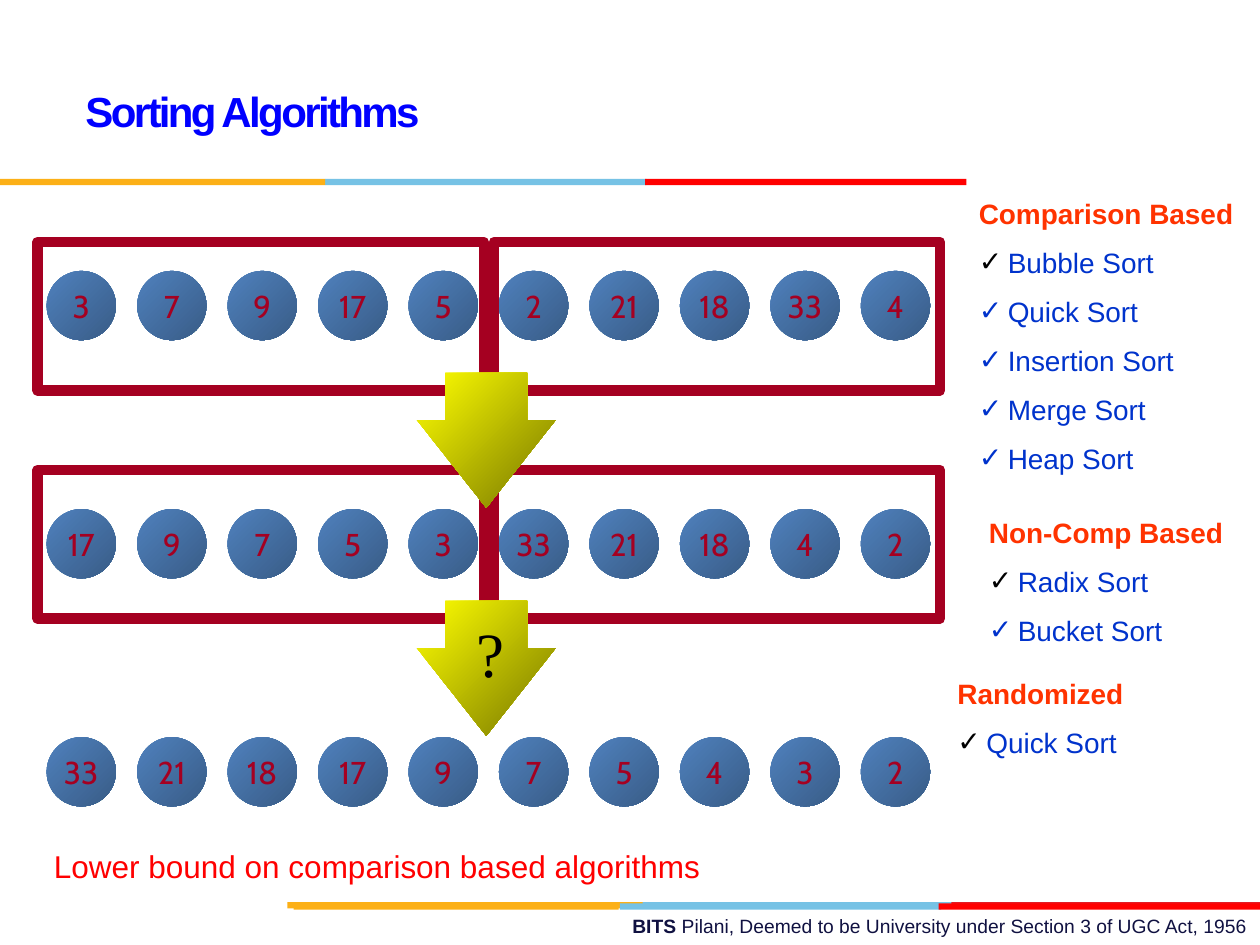
from dataclasses import dataclass

from lxml import etree
from pptx import Presentation
from pptx.dml.color import RGBColor
from pptx.enum.shapes import MSO_SHAPE
from pptx.enum.text import MSO_ANCHOR, PP_ALIGN
from pptx.oxml.ns import qn
from pptx.util import Inches, Pt

RECT, OVAL, ARROW = MSO_SHAPE.RECTANGLE, MSO_SHAPE.OVAL, MSO_SHAPE.DOWN_ARROW
TOP, MIDDLE = MSO_ANCHOR.TOP, MSO_ANCHOR.MIDDLE
LEFT, CENTER, RIGHT = PP_ALIGN.LEFT, PP_ALIGN.CENTER, PP_ALIGN.RIGHT


@dataclass(frozen=True)
class Theme:
    font: str = "Arial"
    number_font: str = "Cabin"
    mark_font: str = "Times New Roman"
    orange: str = "FCB017"
    sky: str = "76C2E5"
    crimson: str = "E31C24"
    red: str = "FF0000"
    black: str = "000000"
    title: str = "0000FF"
    footer: str = "101141"
    heading: str = "FF3300"
    item: str = "0033CC"
    maroon: str = "A50021"
    ball: tuple = ("4F81BD", "395C87")
    arrow: tuple = ("FFFF00", "767600")
    title_size: int = 24
    body_size: int = 18
    list_size: int = 16
    footer_size: int = 11
    mark_size: int = 36
    list_gap: float = 8.8


class Deck:
    """Places elements on a grid of 100 columns by 75 rows."""

    COLS, ROWS = 100, 75

    def __init__(self, theme):
        self.t = theme
        self.prs = Presentation()
        self.prs.slide_width, self.prs.slide_height = Inches(10), Inches(7.5)
        self.s = self.prs.slides.add_slide(self.prs.slide_layouts[6])

    def box(self, x, y, w, h):
        col = self.prs.slide_width / self.COLS
        row = self.prs.slide_height / self.ROWS
        return round(x * col), round(y * row), round(w * col), round(h * row)

    def run(self, p, text, size, color, bold=False, font=None, spacing=None):
        r = p.add_run()
        r.text = text
        r.font.name, r.font.size, r.font.bold = font or self.t.font, Pt(size), bold
        r.font.color.rgb = RGBColor.from_string(color)
        if spacing is not None:
            r._r.get_or_add_rPr().set("spc", str(round(spacing * 100)))

    def shape(self, kind, *cell, fill=None, line=None, width=0):
        sp = self.s.shapes.add_shape(kind, *self.box(*cell))
        sp.shadow.inherit = False
        if isinstance(fill, tuple):
            sp.fill.gradient()
            sp.fill.gradient_angle = 315
            for stop, color in zip(sp.fill.gradient_stops, fill):
                stop.color.rgb = RGBColor.from_string(color)
        elif fill:
            sp.fill.solid()
            sp.fill.fore_color.rgb = RGBColor.from_string(fill)
        else:
            sp.fill.background()
        if line:
            sp.line.color.rgb = RGBColor.from_string(line)
            sp.line.width = Pt(width)
        else:
            sp.line.fill.background()
        return sp

    def text(self, *cell, align=LEFT, anchor=TOP, wrap=True):
        tf = self.s.shapes.add_textbox(*self.box(*cell)).text_frame
        tf.word_wrap, tf.vertical_anchor = wrap, anchor
        tf.paragraphs[0].alignment = align
        return tf

    def stripes(self, y, *bars):
        for x, w, color in bars:
            self.shape(RECT, x, y, w, 0.5, fill=color)

    def ball(self, x, y, value):
        sp = self.shape(OVAL, x, y, 5.5, 5.5, fill=self.t.ball)
        tf = sp.text_frame
        tf.word_wrap, tf.vertical_anchor = False, MIDDLE
        p = tf.paragraphs[0]
        p.alignment = CENTER
        self.run(p, str(value), self.t.body_size, self.t.maroon, font=self.t.number_font)

    def arrow(self, x, y):
        sp = self.shape(ARROW, x, y, 11, 10.7, fill=self.t.arrow)
        sp.adjustments[0], sp.adjustments[1] = 0.59, 0.65

    def bullet(self, p, color):
        pPr = p._p.get_or_add_pPr()
        pPr.set("marL", str(Inches(0.23)))
        pPr.set("indent", str(-Inches(0.23)))
        clr = etree.SubElement(pPr, qn("a:buClr"))
        etree.SubElement(clr, qn("a:srgbClr"), val=color)
        etree.SubElement(pPr, qn("a:buFont"), typeface=self.t.font)
        etree.SubElement(pPr, qn("a:buChar"), char="✓")

    def checklist(self, x, y, w, h, heading, items):
        t = self.t
        tf = self.text(x, y, w, h)
        self.run(tf.paragraphs[0], heading, t.list_size, t.heading, bold=True)
        for i, item in enumerate(items):
            p = tf.add_paragraph()
            p.space_before = Pt(t.list_gap)
            self.bullet(p, t.item if i else t.black)
            self.run(p, item, t.list_size, t.item)


def main():
    t = Theme()
    d = Deck(t)

    # Footer and coloured stripes
    p = d.text(35.8, 72.1, 64.2, 2.9, align=RIGHT).paragraphs[0]
    d.run(p, "BITS ", t.footer_size, t.footer, bold=True)
    d.run(p, "Pilani, Deemed to be University under Section 3 of UGC Act, 1956",
          t.footer_size, t.footer)
    d.stripes(71.6, (50.6, 25.5, t.sky), (75.5, 24.5, t.crimson), (22.8, 28.2, t.orange))
    d.stripes(71.7, (49.2, 25.5, t.sky), (23.3, 25.8, t.orange), (74.5, 25.5, t.red))
    d.stripes(14.2, (25.8, 25.5, t.sky), (0, 25.8, t.orange), (51.2, 25.5, t.red))

    # Title
    p = d.text(5.8, 2.5, 90, 12.5, anchor=MIDDLE).paragraphs[0]
    d.run(p, "Sorting Algorithms", t.title_size, t.title, bold=True, spacing=-1.5)

    # Rows of numbers: unsorted, halves sorted, fully sorted
    rows = {
        21.5: (3, 7, 9, 17, 5, 2, 21, 18, 33, 4),
        40.4: (17, 9, 7, 5, 3, 33, 21, 18, 4, 2),
        58.5: (33, 21, 18, 17, 9, 7, 5, 4, 3, 2),
    }
    for y, values in rows.items():
        for i, value in enumerate(values):
            d.ball(3.7 + 7.18 * i, y, value)

    # Frames around the halves, then the arrows between rows
    steps = (0, 18.1)
    for dy in steps:
        for x in (3, 39.2):
            d.shape(RECT, x, 19.2 + dy, 35.4, 11.8, line=t.maroon, width=6)
    for dy in steps:
        d.arrow(33.1, 29.6 + dy)
    p = d.text(36.8, 48.3, 4.2, 7, wrap=False).paragraphs[0]
    d.run(p, "?", t.mark_size, t.black, font=t.mark_font)

    # Lists of algorithms
    d.checklist(76.7, 15.1, 23.3, 23.9, "Comparison Based",
                ("Bubble Sort", "Quick Sort", "Insertion Sort", "Merge Sort", "Heap Sort"))
    d.checklist(77.5, 40.4, 22.5, 11.8, "Non-Comp Based", ("Radix Sort", "Bucket Sort"))
    d.checklist(75, 53.2, 15.5, 7.7, "Randomized", ("Quick Sort",))

    # Closing remark
    p = d.text(3.3, 66.7, 69.2, 4.2).paragraphs[0]
    d.run(p, "Lower bound on comparison based algorithms", t.body_size, t.red)

    d.prs.save("out.pptx")


if __name__ == "__main__":
    main()
